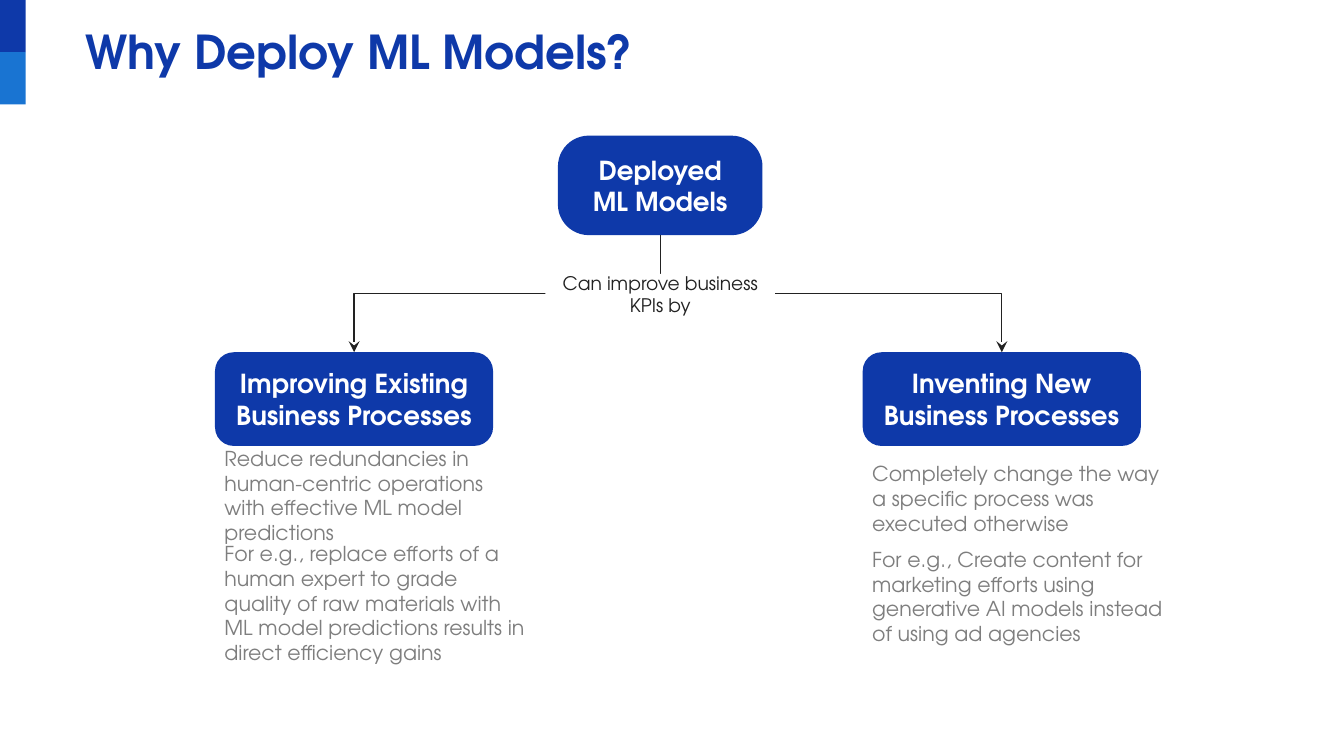
from lxml import etree
from pptx import Presentation
from pptx.dml.color import RGBColor
from pptx.enum.shapes import MSO_CONNECTOR, MSO_SHAPE
from pptx.enum.text import MSO_ANCHOR, PP_ALIGN
from pptx.oxml.ns import qn
from pptx.util import Pt

RECT, ROUND = MSO_SHAPE.RECTANGLE, MSO_SHAPE.ROUNDED_RECTANGLE
ELBOW = MSO_CONNECTOR.ELBOW
TOP, MIDDLE = MSO_ANCHOR.TOP, MSO_ANCHOR.MIDDLE
LEFT, CENTER = PP_ALIGN.LEFT, PP_ALIGN.CENTER
FONT = "TeX Gyre Adventor"
COLORS = {"navy": "0E39A9", "blue": "1974D2", "white": "FFFFFF",
          "gray": "7E7E7E", "ink": "222222"}


def color(name):
    """Return a named colour."""
    return RGBColor.from_string(COLORS[name])


def write(shape, text, size, tone, inset, bold=False, align=LEFT, anchor=MIDDLE):
    """Set and format the text of a shape."""
    frame = shape.text_frame
    frame.text = text
    frame.word_wrap = True
    frame.vertical_anchor = anchor
    frame.margin_left = frame.margin_right = Pt(inset)
    frame.margin_top = frame.margin_bottom = Pt(inset)
    para = frame.paragraphs[0]
    para.alignment = align
    font = para.runs[0].font
    font.name, font.size, font.bold = FONT, Pt(size), bold
    font.color.rgb = color(tone)


def block(slide, kind, box, fill):
    """Add a plain filled shape."""
    shape = slide.shapes.add_shape(kind, *map(Pt, box))
    shape.shadow.inherit = False
    shape.fill.solid()
    shape.fill.fore_color.rgb = color(fill)
    shape.line.fill.background()
    return shape


def note(slide, box, text):
    """Add a gray paragraph."""
    write(slide.shapes.add_textbox(*map(Pt, box)), text, 11, "gray", 5)


def node(slide, box, text, radius):
    """Add a rounded box with a bold label."""
    shape = block(slide, ROUND, box, "navy")
    shape.adjustments[0] = radius
    write(shape, text, 14, "white", 7.2, True, CENTER)
    return shape


def link(slide, start, end):
    """Join two nodes with an arrow that leaves downwards."""
    line = slide.shapes.add_connector(ELBOW, 0, 0, 0, 0)
    line.begin_connect(start, 2)
    line.end_connect(end, 0)
    left, top, wide, high = line.left, line.top, line.width, line.height
    right = line.end_x > line.begin_x
    line.left, line.top = left + (wide - high) // 2, top + (high - wide) // 2
    line.width, line.height = high, wide
    props = line.element.spPr
    frame = props.find(qn("a:xfrm"))
    frame.set("rot", "16200000" if right else "5400000")
    frame.set("flipH", "1" if right else "0")
    line.line.width = Pt(0.75)
    line.line.color.rgb = color("ink")
    etree.SubElement(props.find(qn("a:ln")), qn("a:tailEnd"), type="stealth")
    etree.SubElement(props, qn("a:effectLst"))


def header(slide, box, text):
    """Add the corner bars and the title."""
    x, y, wide, high = box
    for i, fill in enumerate(("navy", "blue")):
        block(slide, RECT, (x, y + i * 28, 13.7, 28), fill)
    title = slide.shapes.add_textbox(Pt(x + 45), Pt(y + 11.5), Pt(wide - 90), Pt(high))
    write(title, text, 25, "navy", 0.72, True, anchor=TOP)


def branch(slide, box, root, text, notes):
    """Add a linked node with its notes at (offset, height, text)."""
    x, y, wide, high = box
    head = node(slide, box, text, 0.2)
    for gap, tall, words in notes:
        note(slide, (x, y + gap, wide + 22.4, tall), words)
    link(slide, root, head)


def tree(slide, box):
    """Add the root, its two branches and the label between them."""
    x, y, wide, high = box
    root = node(slide, (x + 183.7, y, 109.6, 53.3), "Deployed\vML Models".replace("\v", " "), 0.31)
    parts = (
        (0, "Improving Existing Business Processes", (
            (54, 45.4, "Reduce redundancies in human-centric operations with "
             "effective ML model predictions"),
            (102.3, 64, "For e.g., replace efforts of a human expert to grade quality "
             "of raw materials with ML model predictions results in direct "
             "efficiency gains"))),
        (wide - 149, "Inventing New Business Processes", (
            (55.5, 45.4, "Completely change the way a specific process was "
             "executed otherwise"),
            (98.7, 64, "For e.g., Create content for marketing efforts using "
             "generative AI models instead of using ad agencies"))),
    )
    for shift, text, notes in parts:
        branch(slide, (x + shift, y + 116, 149, 50.2), root, text, notes)
    label = block(slide, RECT, (x + 177, y + 74, 123, 21.6), "white")
    write(label, "Can improve business KPIs by", 10, "ink", 5, align=CENTER)


def main():
    """Build and save the slide."""
    deck = Presentation()
    deck.slide_width, deck.slide_height = Pt(720), Pt(405)
    slide = deck.slides.add_slide(deck.slide_layouts[6])
    header(slide, (0, 0, 720, 32.4), "Why Deploy ML Models?")
    tree(slide, (115.2, 72.7, 496, 280))
    deck.save("out.pptx")


if __name__ == "__main__":
    main()
